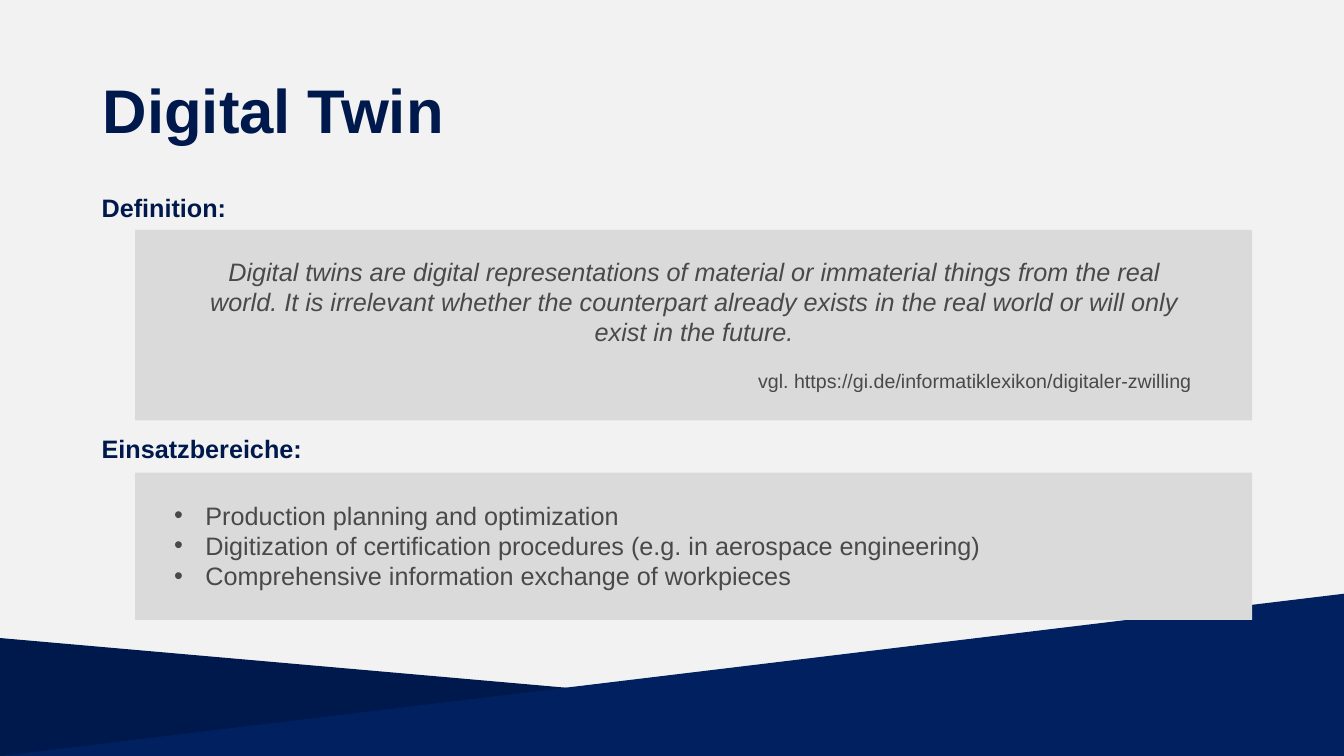
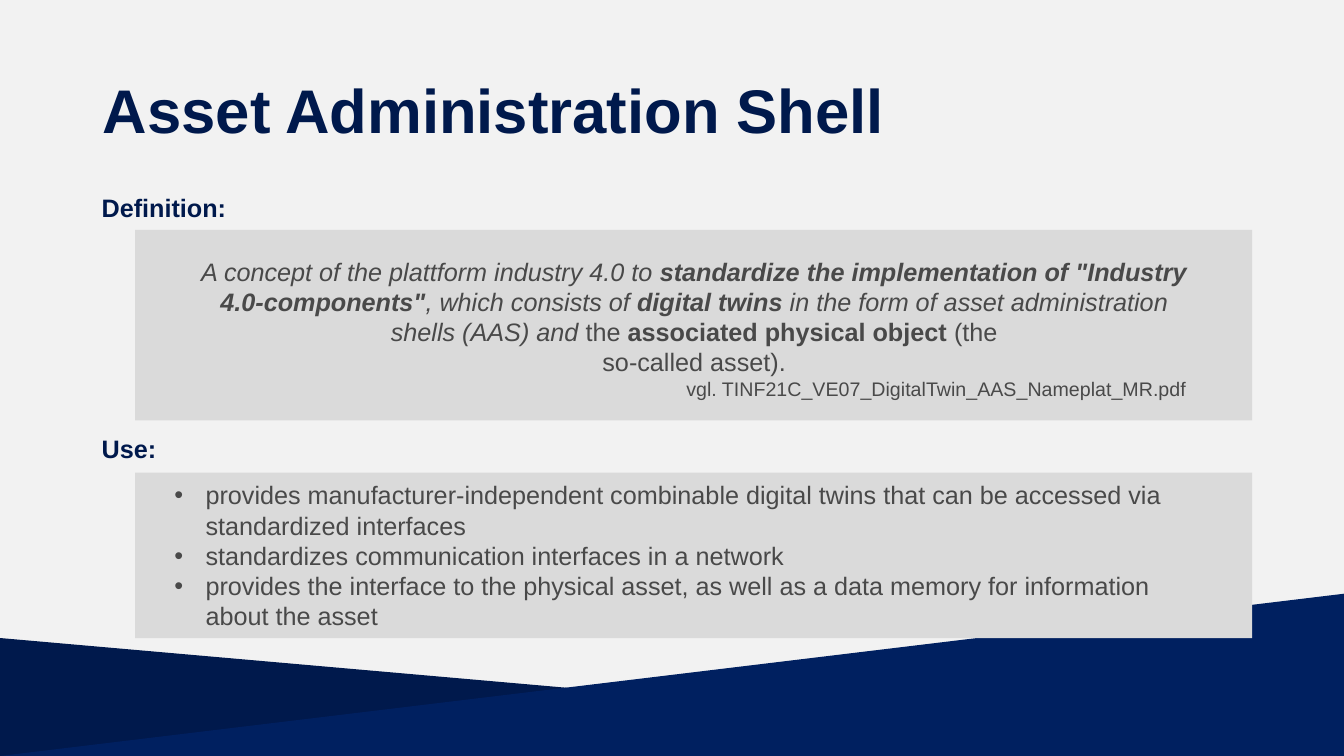
from dataclasses import dataclass
from typing import NamedTuple

from lxml.etree import SubElement
from pptx import Presentation
from pptx.dml.color import RGBColor
from pptx.enum.shapes import MSO_SHAPE as SHAPE
from pptx.enum.text import MSO_ANCHOR as ANCHOR
from pptx.enum.text import MSO_AUTO_SIZE as AUTO_SIZE
from pptx.enum.text import PP_ALIGN as ALIGN
from pptx.oxml.ns import qn
from pptx.util import Pt

PX = 9144  # EMU per px, 100 px to the inch
WIDTH, HEIGHT = 1333, 750
FONT = "Arial"
PAPER = RGBColor(0xF2, 0xF2, 0xF2)
NAVY = RGBColor(0x00, 0x19, 0x4C)
BLUE = RGBColor(0x00, 0x20, 0x60)
PANEL = RGBColor(0xDA, 0xDA, 0xDA)
GREY = RGBColor(0x49, 0x49, 0x49)

BODY_SIZE, SOURCE_SIZE, TITLE_SIZE = 18, 14, 44
PANEL_LEFT, PANEL_WIDTH = 134, 1108
BULLET_INDENT = 31


class Box(NamedTuple):
    left: int
    top: int
    width: int
    height: int

    def emu(self) -> list[int]:
        return [v * PX for v in self]


class Span(NamedTuple):
    text: str
    bold: bool = False
    italic: bool = False


@dataclass
class Topic:
    title: str
    quote: list[list[Span]]
    quote_height: int
    source: str
    source_gap: int
    use_label: str
    use_label_width: int
    uses: list[str]
    use_panel_height: int
    uses_box: Box
    uses_wrap: bool


TOPICS = [
    Topic(
        title="Digital Twin",
        quote=[[Span("Digital twins are digital representations of material or immaterial "
                     "things from the real world. It is irrelevant whether the counterpart "
                     "already exists in the real world or will only exist in the future.",
                     italic=True)]],
        quote_height=148,
        source="vgl. https://gi.de/informatiklexikon/digitaler-zwilling",
        source_gap=16,
        use_label="Einsatzbereiche:",
        use_label_width=221,
        uses=["Production planning and optimization",
              "Digitization of certification procedures (e.g. in aerospace engineering)",
              "Comprehensive information exchange of workpieces"],
        use_panel_height=146,
        uses_box=Box(163, 491, 827, 101),
        uses_wrap=False,
    ),
    Topic(
        title="Asset Administration Shell",
        quote=[[Span("A concept of the plattform industry 4.0 to ", italic=True),
                Span('standardize the implementation of "Industry 4.0-components"',
                     bold=True, italic=True),
                Span(", which consists of ", italic=True),
                Span("digital twins", bold=True, italic=True),
                Span(" in the form of asset administration shells (AAS) and ", italic=True),
                Span("the "),
                Span("associated physical object", bold=True),
                Span(" (the")],
               [Span("so-called asset).")]],
        quote_height=178,
        source="vgl. TINF21C_VE07_DigitalTwin_AAS_Nameplat_MR.pdf ",
        source_gap=0,
        use_label="Use:",
        use_label_width=75,
        uses=["provides manufacturer-independent combinable digital twins that can be "
              "accessed via standardized interfaces",
              "standardizes communication interfaces in a network",
              "provides the interface to the physical asset, as well as a data memory for "
              "information about the asset"],
        use_panel_height=164,
        uses_box=Box(163, 471, 1045, 162),
        uses_wrap=True,
    ),
]


def style(font, size: int, color: RGBColor, bold: bool = False, italic: bool = False) -> None:
    font.name, font.size = FONT, Pt(size)
    font.bold, font.italic = bold, italic
    font.color.rgb = color


def add_filled(s, kind: SHAPE, box: Box, color: RGBColor):
    sp = s.shapes.add_shape(kind, *box.emu())
    sp.shadow.inherit = False
    sp.fill.solid()
    sp.fill.fore_color.rgb = color
    sp.line.fill.background()
    return sp


def add_text_frame(s, box: Box, wrap: bool):
    tf = s.shapes.add_textbox(*box.emu()).text_frame
    tf.word_wrap = wrap
    tf.auto_size = AUTO_SIZE.SHAPE_TO_FIT_TEXT
    return tf


def next_paragraph(tf, index: int):
    return tf.add_paragraph() if index else tf.paragraphs[0]


def move_bands_to_layout(s) -> None:
    """Draw the two footer wedges and hand them to the layout of the slide."""
    for depth, (top, color, flipped) in enumerate([(633, NAVY, False), (589, BLUE, True)]):
        band = add_filled(s, SHAPE.ISOSCELES_TRIANGLE,
                          Box(0, top, WIDTH, HEIGHT - top), color)
        band.adjustments[0] = 0
        if flipped:
            band.element.spPr.find(qn("a:xfrm")).set("flipH", "1")
        s.slide_layout.shapes.element.insert(2 + depth, band.element)


def set_title(s, text: str) -> None:
    title = s.shapes.title
    title.left, title.top, title.width, title.height = Box(92, 40, 1150, 145).emu()
    tf = title.text_frame
    tf.text = text
    tf.auto_size = AUTO_SIZE.NONE
    tf.vertical_anchor = ANCHOR.MIDDLE
    p = tf.paragraphs[0]
    p.alignment, p.line_spacing = ALIGN.LEFT, 0.9
    style(p.runs[0].font, TITLE_SIZE, NAVY, bold=True)


def add_label(s, text: str, top: int, width: int) -> None:
    p = add_text_frame(s, Box(91, top, width, 40), wrap=False).paragraphs[0]
    p.text = text
    style(p.runs[0].font, BODY_SIZE, NAVY, bold=True)


def add_quote(s, topic: Topic) -> None:
    tf = add_text_frame(s, Box(185, 249, 1007, topic.quote_height), wrap=True)
    for i, spans in enumerate(topic.quote):
        p = next_paragraph(tf, i)
        p.alignment = ALIGN.CENTER
        for span in spans:
            r = p.add_run()
            r.text = span.text
            style(r.font, BODY_SIZE, GREY, span.bold, span.italic)
    p = tf.add_paragraph()
    p.text = topic.source
    p.alignment, p.space_before = ALIGN.RIGHT, Pt(topic.source_gap)
    style(p.runs[0].font, SOURCE_SIZE, GREY)


def add_uses(s, topic: Topic) -> None:
    tf = add_text_frame(s, topic.uses_box, topic.uses_wrap)
    for i, text in enumerate(topic.uses):
        p = next_paragraph(tf, i)
        p.text = text
        pPr = p._p.get_or_add_pPr()
        pPr.set("marL", str(BULLET_INDENT * PX))
        pPr.set("indent", str(-BULLET_INDENT * PX))
        SubElement(pPr, qn("a:buFont"), typeface=FONT)
        SubElement(pPr, qn("a:buChar"), char="•")
        style(p.runs[0].font, BODY_SIZE, GREY)


def add_topic(s, topic: Topic) -> None:
    set_title(s, topic.title)
    for top, height in [(228, 189), (469, topic.use_panel_height)]:
        add_filled(s, SHAPE.RECTANGLE, Box(PANEL_LEFT, top, PANEL_WIDTH, height), PANEL)
    add_label(s, "Definition:", 186, 145)
    add_quote(s, topic)
    add_label(s, topic.use_label, 425, topic.use_label_width)
    add_uses(s, topic)


def main() -> None:
    prs = Presentation()
    prs.slide_width, prs.slide_height = WIDTH * PX, HEIGHT * PX
    fill = prs.slide_master.background.fill
    fill.solid()
    fill.fore_color.rgb = PAPER
    layout = prs.slide_layouts[5]
    slides = [prs.slides.add_slide(layout) for _ in TOPICS]
    move_bands_to_layout(slides[0])
    for s, topic in zip(slides, TOPICS):
        add_topic(s, topic)
    prs.save("out.pptx")


if __name__ == "__main__":
    main()
